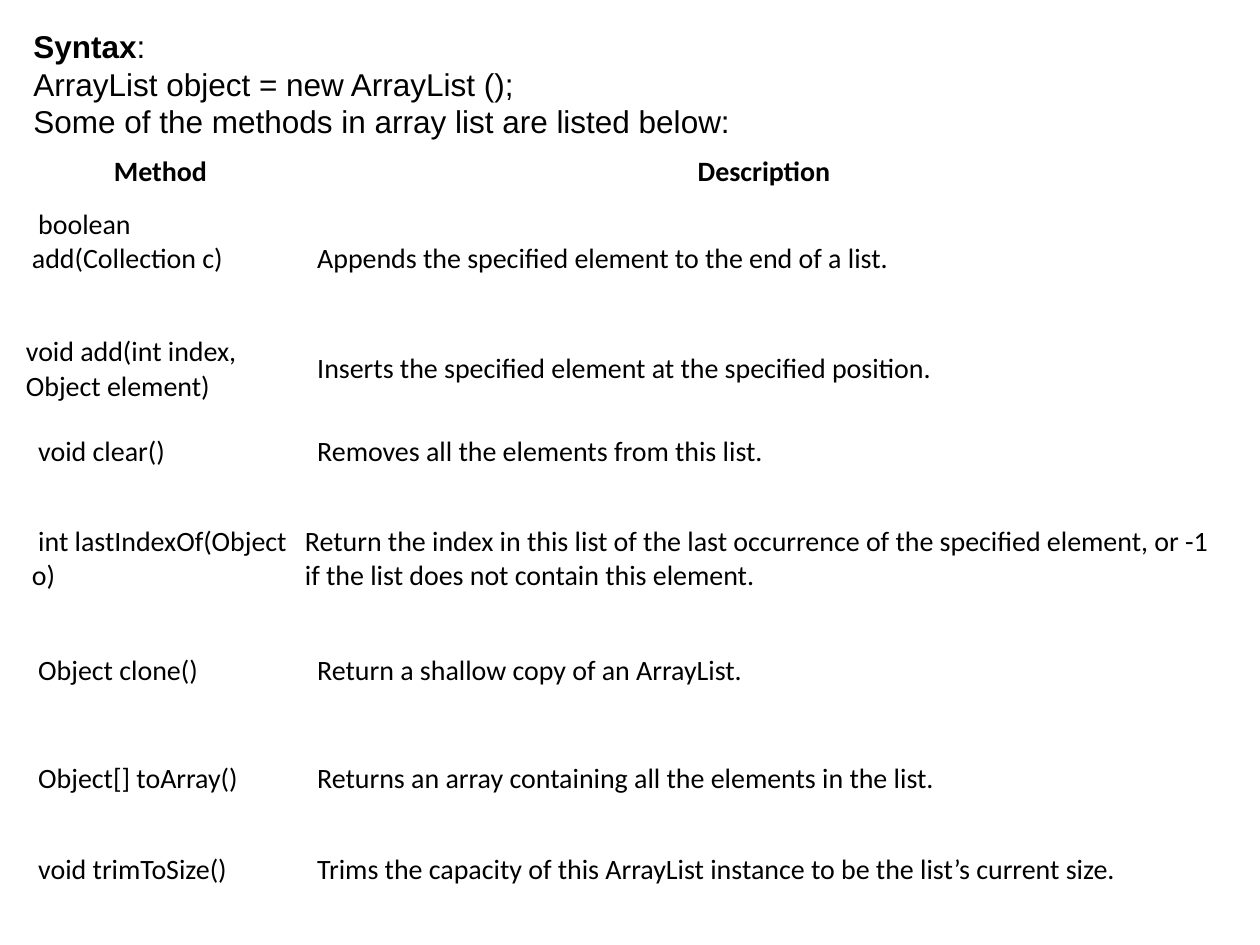
from pptx import Presentation
from pptx.dml.color import RGBColor
from pptx.enum.text import MSO_ANCHOR, MSO_AUTO_SIZE, PP_ALIGN
from pptx.util import Emu, Pt

SCALE = 914400 // 126
BLACK = RGBColor(0, 0, 0)
MIDDLE = MSO_ANCHOR.MIDDLE
GROW = MSO_AUTO_SIZE.SHAPE_TO_FIT_TEXT
LEFT, CENTER = PP_ALIGN.LEFT, PP_ALIGN.CENTER
NBSP = "\u00a0"
INSET, NARROW, RAISED = 11, 5, 40


def px(length):
    return Emu(length * SCALE)


class SlideWriter:
    """Holds the text style and the current slide."""

    heading = {"name": "Arial", "size": Pt(18)}
    body = {"name": "Calibri", "size": Pt(16)}

    def __init__(self, page):
        self.page = page

    def format(self, target, values):
        for name, value in values.items():
            setattr(target, name, value)

    def span(self, para, text, style, bold=False):
        span = para.add_run()
        span.text = text
        self.format(span.font, {**style, "bold": bold})
        span.font.color.rgb = BLACK

    def intro(self, area, title, lines):
        box = self.page.shapes.add_textbox(*map(px, area))
        frame = box.text_frame
        self.format(frame, {"word_wrap": True, "vertical_anchor": MIDDLE, "auto_size": GROW})
        para = frame.paragraphs[0]
        self.span(para, title, self.heading, bold=True)
        self.span(para, ":", self.heading)
        para = frame.add_paragraph()
        for index, line in enumerate(lines):
            if index:
                para.add_line_break()
            self.span(para, line, self.heading)

    def cell(self, cell, text, header, bottom):
        left = INSET if header or text.startswith(NBSP) else NARROW
        self.format(cell, {
            "vertical_anchor": MIDDLE,
            "margin_left": px(left), "margin_right": px(INSET),
            "margin_top": px(6), "margin_bottom": px(bottom),
        })
        cell.fill.background()
        para = cell.text_frame.paragraphs[0]
        para.alignment = CENTER if header else LEFT
        self.span(para, text, self.body, header)

    def table(self, left, top, widths, rows):
        heights = [row[0] for row in rows]
        area = (left, top, sum(widths), sum(heights))
        frame = self.page.shapes.add_table(len(rows), len(widths), *map(px, area))
        table = frame.table
        self.format(table, {"first_row": False, "horz_banding": False})
        for column, width in zip(table.columns, widths):
            column.width = px(width)
        for index, (height, bottoms, texts) in enumerate(rows):
            table.rows[index].height = px(height)
            for cell, text, bottom in zip(table.rows[index].cells, texts, bottoms):
                self.cell(cell, text, index == 0, bottom)


PLAIN = (6, 6)
METHODS = [
    (60, PLAIN, ("Method", "Description")),
    (114, (RAISED, 6), (NBSP + "boolean add(Collection c)",
                        NBSP + "Appends the specified element to the end of a list." + NBSP)),
    (106, PLAIN, ("void add(int index, Object element)",
                  NBSP + "Inserts the specified element at the specified position.")),
    (60, PLAIN, (NBSP + "void clear()", NBSP + "Removes all the elements from this list.")),
    (153, PLAIN, (NBSP + "int lastIndexOf(Object o)",
                  "Return the index in this list of the last occurrence of the specified "
                  "element, or -1 if the list does not contain this element.")),
    (106, (RAISED, RAISED), (NBSP + "Object clone()",
                             NBSP + "Return a shallow copy of an ArrayList.")),
    (76, PLAIN, (NBSP + "Object[] toArray()",
                 NBSP + "Returns an array containing all the elements in the list.")),
    (106, PLAIN, (NBSP + "void trimToSize()",
                  NBSP + "Trims the capacity of this ArrayList instance to be the "
                  "list\u2019s current size.")),
]

deck = Presentation()
deck.slide_width, deck.slide_height = px(1260), px(945)
writer = SlideWriter(deck.slides.add_slide(deck.slide_layouts[6]))
writer.table(21, 142, (279, 928), METHODS)
writer.intro((21, 20, 1218, 127), "Syntax", (
    "ArrayList object = new ArrayList ();",
    "Some of the methods in array list are listed below:" + NBSP,
))
deck.save("out.pptx")
